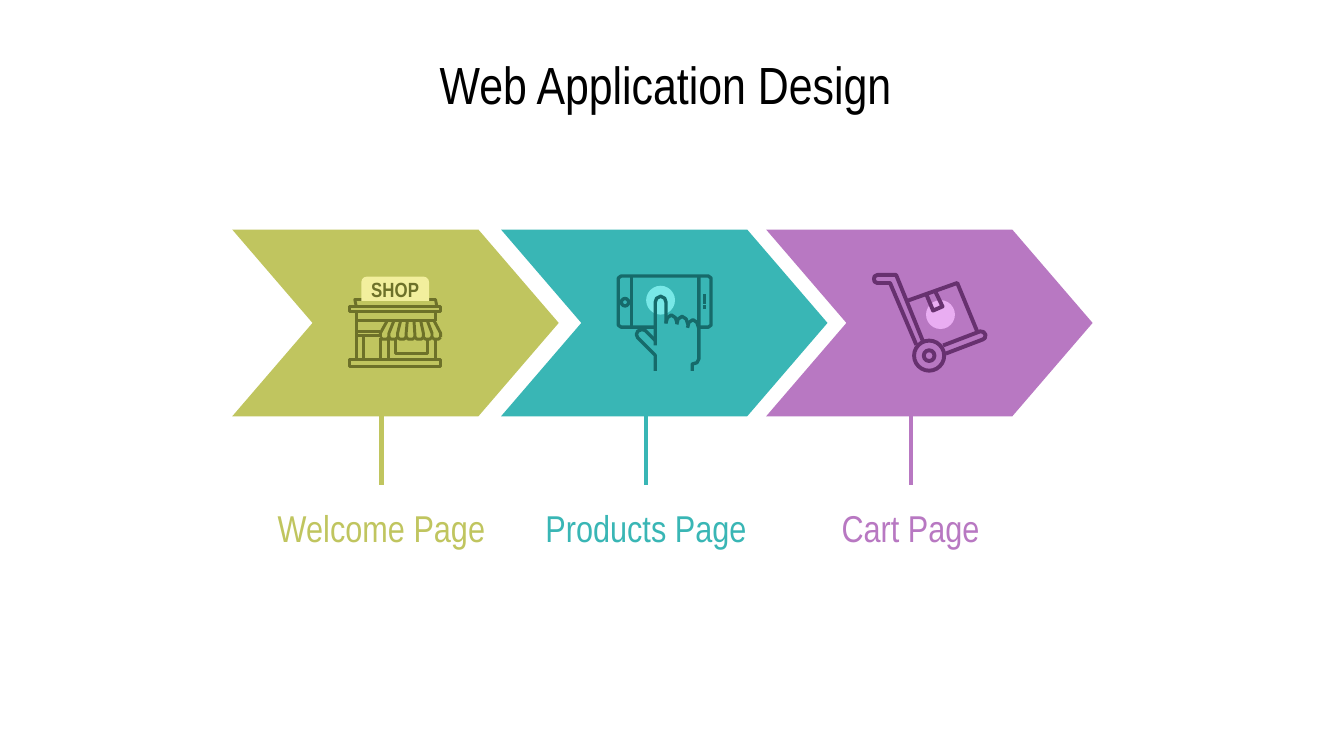
import lxml.etree
import pptx
import pptx.dml.color
import pptx.enum.shapes
import pptx.enum.text
import pptx.oxml.ns
import pptx.util

Cm, Pt = pptx.util.Cm, pptx.util.Pt
RGB = pptx.dml.color.RGBColor.from_string
KIND = pptx.enum.shapes.MSO_SHAPE

theme = {
    "font": "Arial Narrow", "ink": "000000",
    "title": 28, "label": 20, "sign": 11, "stem": 2.25,
    "olive": ("C0C55F", "6D7129", "F2EF9D"),
    "teal": ("39B6B5", "166A6A", "78E8E7"),
    "plum": ("B878C2", "67316F", "E9ADF2"),
}
GRID = 0.0254  # icon grid step in cm

deck = pptx.Presentation()
deck.slide_width, deck.slide_height = Cm(25.4), Cm(14.29)
slide = deck.slides.add_slide(deck.slide_layouts[6])
shapes = slide.shapes


def paint(shape, fill=None, line=None, width=1):
    shape.shadow.inherit = False
    if fill:
        shape.fill.solid()
        shape.fill.fore_color.rgb = RGB(fill)
    else:
        shape.fill.background()
    if line:
        shape.line.color.rgb = RGB(line)
        shape.line.width = Pt(width)
    else:
        shape.line.fill.background()


def write(shape, words, size, color, bold=False, inset=0.25):
    frame = shape.text_frame
    look = {"word_wrap": True,
            "vertical_anchor": pptx.enum.text.MSO_ANCHOR.MIDDLE}
    for side in ("left", "right", "top", "bottom"):
        look["margin_" + side] = Cm(inset)
    for key, value in look.items():
        setattr(frame, key, value)
    para = frame.paragraphs[0]
    para.alignment = pptx.enum.text.PP_ALIGN.CENTER
    run = para.add_run()
    run.text = words
    for key, value in {"name": theme["font"], "size": Pt(size), "bold": bold}.items():
        setattr(run.font, key, value)
    run.font.color.rgb = RGB(color)


# Title
box = shapes.add_textbox(Cm(6.86), Cm(1.14), Cm(11.43), Cm(0.89))
write(box, "Web Application Design", theme["title"], theme["ink"])

# Steps: chevron, stem and label
steps = [("olive", 4.39, "Welcome Page"), ("teal", 9.47, "Products Page"),
         ("plum", 14.48, "Cart Page")]
for i, (hue, left, words) in enumerate(steps):
    main = theme[hue][0]
    arrow = shapes.add_shape(KIND.CHEVRON, Cm(left), Cm(4.34), Cm(6.17), Cm(3.53))
    arrow.adjustments[0] = 0.43
    paint(arrow, fill=main)
    mid = 7.21 + 5 * i
    stem = shapes.add_connector(pptx.enum.shapes.MSO_CONNECTOR.STRAIGHT,
                                Cm(mid), Cm(7.77), Cm(mid), Cm(9.17))
    stem.line.color.rgb = RGB(main)
    stem.line.width = Pt(theme["stem"])
    lxml.etree.SubElement(stem.element.spPr, pptx.oxml.ns.qn("a:effectLst"))
    box = shapes.add_textbox(Cm(mid - 2.4), Cm(9.65), Cm(4.8), Cm(0.66))
    write(box, words, theme["label"], main)

# Shop strokes, on the icon grid
shop = [
    [(6, 22), (5, 17), (65, 17), (66, 22)],
    [(1, 22), (69, 22), (69, 26), (1, 26), (1, 22)],
    [(1, 62), (69, 62), (69, 67), (1, 67), (1, 62)],
    [(6, 26), (6, 62)], [(65, 26), (65, 33)], [(65, 46), (65, 62)],
    [(6, 33), (65, 33)], [(6, 41), (24, 41)], [(6, 44), (24, 44)],
    [(11.5, 44), (11.5, 62)], [(24, 46), (24, 62)], [(30, 46), (30, 62)],
    [(35, 46), (35, 57), (59, 57), (59, 46)],
]
hem = []
for i in range(8):
    foot = 24 + 6.4 * i
    shop.append([(29 + 5 * i, 33), (foot, 42), (foot, 45)])
    hem.append((foot, 45))
    if i < 7:
        hem += [(foot + 1.5, 46.5), (foot + 4.9, 46.5)]
shop.append(hem)

# Phone and hand strokes
phone = [
    [(28, 39.5), (3, 39.5), (1, 38), (1, 3), (3, 1.5), (68, 1.5), (70, 3),
     (70, 38), (68, 39.5), (61, 39.5)],
    [(11, 1.5), (11, 39.5)],
    [(61, 1.5), (61, 63), (59.5, 66), (56, 67), (56, 72)],
    [(28.5, 72), (28.5, 60.5), (15.5, 47.5), (14.5, 45), (15.5, 42.5),
     (18.5, 41.3), (21, 42), (28.5, 49.5)],
    [(28.5, 53), (28.5, 21), (29.5, 18), (32.5, 16.5), (35.5, 18),
     (36.5, 21), (36.5, 37)],
    [(65, 15), (65, 22)], [(65, 23), (65, 26)],
]
for x, top in [(36.5, 30.5), (44.5, 31.5), (52.5, 34)]:
    phone.append([(x, top + 6), (x + 1, top + 2), (x + 4, top),
                  (x + 7, top + 2), (x + 8.3, top + 6)])

# Hand truck strokes
truck = [
    [(38, 51), (18, 1.5), (4, 1.5), (2, 2.5), (1.5, 4.5), (2, 6.5), (4, 7.5),
     (13.5, 7.5), (33, 53.5)],
    [(27, 20.5), (63.5, 7.5), (78.5, 44)],
    [(40.5, 16), (45.5, 28), (52.5, 25), (47.5, 14.5)],
    [(53, 54), (80.5, 43.5), (83, 44), (84.5, 46), (84, 48.5), (82.5, 49.5),
     (55, 60)],
]

# Icons: hue, corner, stroke width, strokes, disc and rings as (x, y, radius)
icons = [
    ("olive", 6.58, 5.23, 1.6, shop, [], []),
    ("teal", 11.66, 5.18, 1.8, phone, [(32.5, 19.5, 10.75)], [(6, 21, 2.75)]),
    ("plum", 16.48, 5.16, 2.1, truck, [(51, 31, 10.75)],
     [(42.5, 61.5, 11.2), (42.5, 61.5, 4)]),
]
for hue, left, top, width, strokes, discs, rings in icons:
    _, dark, pale = theme[hue]
    for x, y, r in discs + rings:
        oval = shapes.add_shape(KIND.OVAL, Cm(left + (x - r) * GRID),
                                Cm(top + (y - r) * GRID),
                                Cm(2 * r * GRID), Cm(2 * r * GRID))
        if (x, y, r) in discs:
            paint(oval, fill=pale)
        else:
            paint(oval, line=dark, width=width)
    pen = None
    for stroke in strokes:
        dots = [(x * 10, y * 10) for x, y in stroke]
        if pen is None:
            pen = shapes.build_freeform(*dots[0], scale=Cm(GRID) / 10)
        else:
            pen.move_to(*dots[0])
        pen.add_line_segments(dots[1:], close=False)
    paint(pen.convert_to_shape(Cm(left), Cm(top)), line=dark, width=width)

# Shop sign
sign = shapes.add_shape(KIND.ROUND_2_SAME_RECTANGLE, Cm(6.83), Cm(5.23),
                        Cm(1.28), Cm(0.46))
sign.adjustments[0] = 0.22
paint(sign, fill=theme["olive"][2])
write(sign, "SHOP", theme["sign"], theme["olive"][1], bold=True, inset=0)

deck.save("out.pptx")
